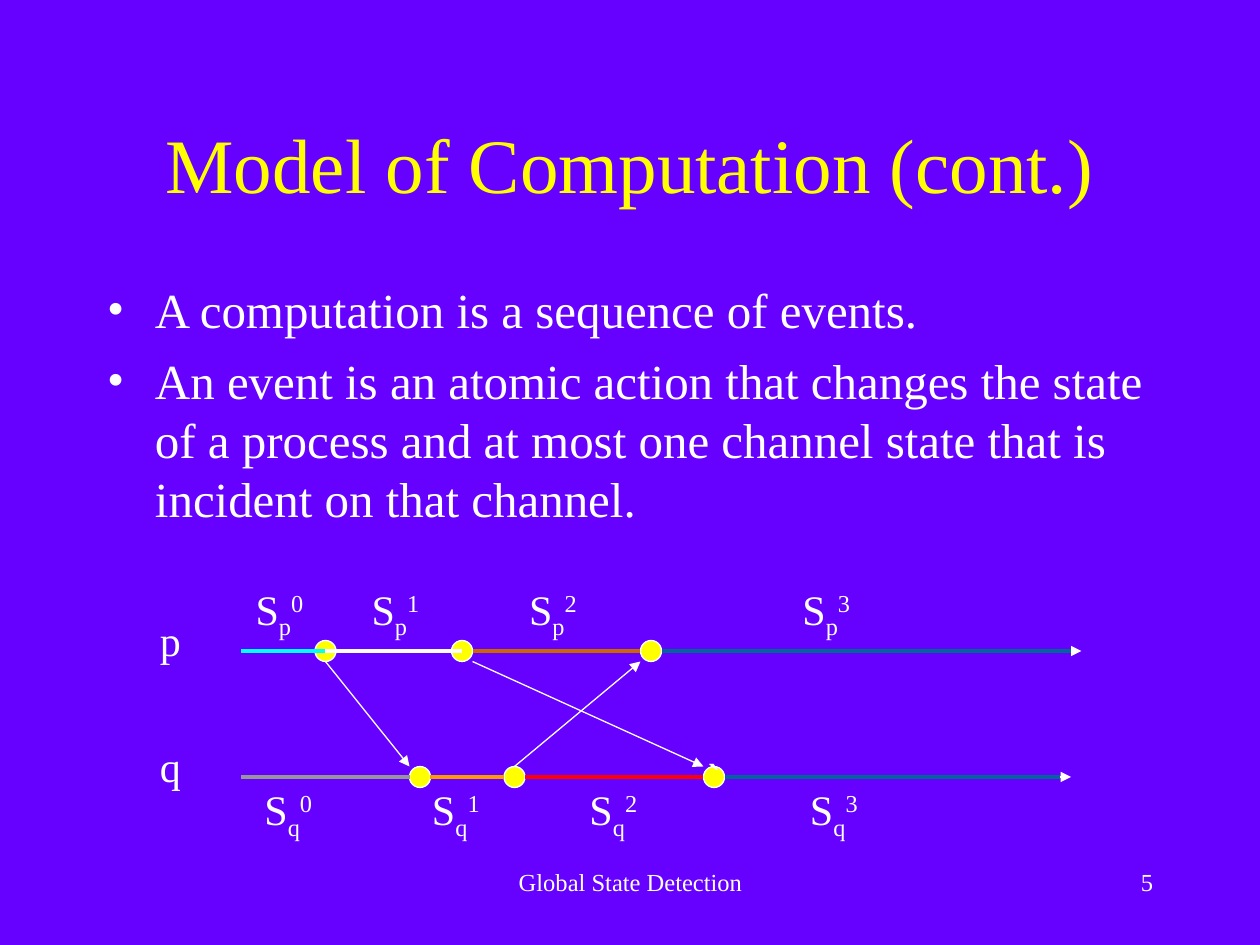
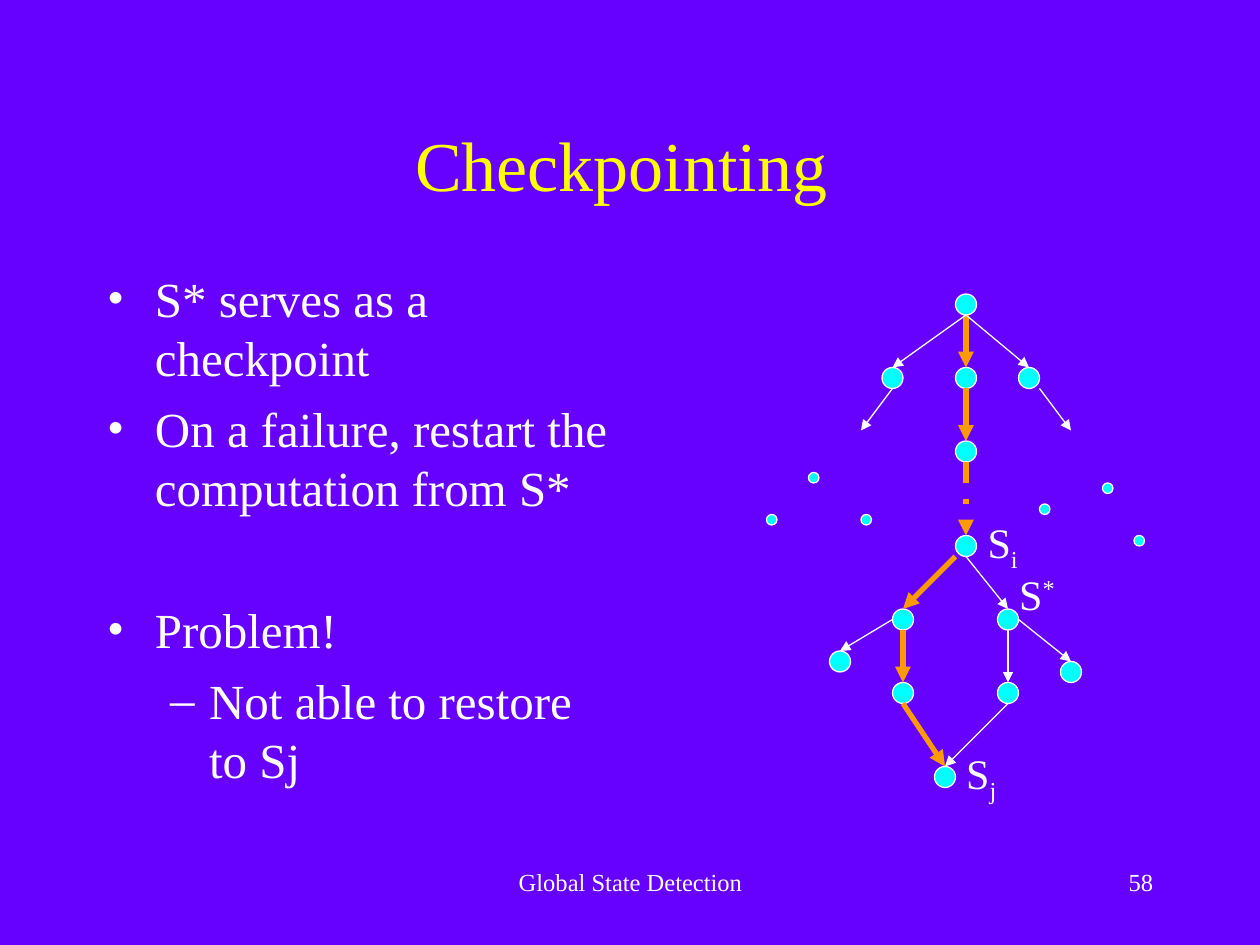
from typing import NamedTuple

from lxml.etree import SubElement
from pptx import Presentation
from pptx.dml.color import RGBColor
from pptx.enum.dml import MSO_LINE as Dash
from pptx.enum.shapes import MSO_CONNECTOR as Link, MSO_SHAPE as Form
from pptx.enum.text import MSO_ANCHOR as Anchor, MSO_AUTO_SIZE as Fit, PP_ALIGN as Align
from pptx.oxml.ns import qn
from pptx.slide import Slide
from pptx.util import Inches, Length, Pt

FONT = "Times New Roman"
BACK, TITLE, WHITE = "6600FF", "FFFF00", "FFFFFF"
CYAN, ORANGE, TEAL = "00FFFF", "FF9900", "006699"
LEFT, CENTER, RIGHT = Align.LEFT, Align.CENTER, Align.RIGHT


class Item(NamedTuple):
    text: str
    level: int = 0
    gap: float = 7


class Edge(NamedTuple):
    """A straight line; the ends are in twelfths of an inch."""
    x1: float
    y1: float
    x2: float
    y2: float
    color: str = WHITE
    width: float = 0.75
    arrow: bool = True
    dash: bool = False


class Node(NamedTuple):
    """A round mark; centre and radius are in twelfths of an inch."""
    x: float
    y: float
    color: str = CYAN
    radius: float = 1
    text: str = ""


class Label(NamedTuple):
    """A letter with an index below and above; the corner is in inches."""
    x: float
    y: float
    base: str
    sub: str = ""
    sup: str = ""
    width: float = 0.58
    height: float = 0.56


def rgb(color: str) -> RGBColor:
    return RGBColor.from_string(color)


def grid(count: float) -> Length:
    """Turn twelfths of an inch into a length."""
    return Inches(count / 12)


def style(para, size: float, color: str = WHITE) -> None:
    for run in para.runs:
        run.font.name, run.font.size = FONT, Pt(size)
        run.font.color.rgb = rgb(color)


def place(shape, x: float, y: float, width: float, height: float) -> None:
    shape.left, shape.top = Inches(x), Inches(y)
    shape.width, shape.height = Inches(width), Inches(height)


def add_text(slide: Slide, x: float, y: float, width: float, height: float,
             text: str, size: float, align: Align) -> None:
    box = slide.shapes.add_textbox(Inches(x), Inches(y), Inches(width), Inches(height))
    box.text_frame.word_wrap = True
    box.text_frame.text = text
    para = box.text_frame.paragraphs[0]
    para.alignment = align
    style(para, size)


def add_label(slide: Slide, label: Label) -> None:
    box = slide.shapes.add_textbox(Inches(label.x), Inches(label.y),
                                   Inches(label.width), Inches(label.height))
    frame = box.text_frame
    frame.word_wrap, frame.auto_size = False, Fit.SHAPE_TO_FIT_TEXT
    para = frame.paragraphs[0]
    for text, shift in (label.base, 0), (label.sub, -25000), (label.sup, 30000):
        if text:
            run = para.add_run()
            run.text = text
            if shift:
                run._r.get_or_add_rPr().set("baseline", str(shift))
    style(para, 24)


def add_edge(slide: Slide, edge: Edge) -> None:
    line = slide.shapes.add_connector(Link.STRAIGHT, grid(edge.x1), grid(edge.y1),
                                      grid(edge.x2), grid(edge.y2))
    line.line.color.rgb = rgb(edge.color)
    line.line.width = Pt(edge.width)
    if edge.dash:
        line.line.dash_style = Dash.DASH_DOT
    if edge.arrow:
        SubElement(line.line._get_or_add_ln(), qn("a:tailEnd"), type="triangle")
    SubElement(line._element.spPr, qn("a:effectLst"))


def add_node(slide: Slide, node: Node) -> None:
    size = grid(2 * node.radius)
    dot = slide.shapes.add_shape(Form.FLOWCHART_CONNECTOR, grid(node.x - node.radius),
                                 grid(node.y - node.radius), size, size)
    dot.shadow.inherit = False
    dot.fill.solid()
    dot.fill.fore_color.rgb = rgb(node.color)
    dot.line.color.rgb = rgb(WHITE)
    dot.line.width = Pt(0.75)
    if node.text:
        frame = dot.text_frame
        frame.word_wrap, frame.vertical_anchor = False, Anchor.MIDDLE
        frame.text = node.text
        frame.paragraphs[0].alignment = CENTER
        style(frame.paragraphs[0], 24)


def set_bullet(para, level: int) -> None:
    left, hang, mark = ((0.38, 0.38, "•"), (0.81, 0.31, "–"))[level]
    props = para._p.get_or_add_pPr()
    props.set("marL", str(Inches(left)))
    props.set("indent", str(-Inches(hang)))
    tint = SubElement(props, qn("a:buClr"))
    SubElement(tint, qn("a:srgbClr"), val=WHITE)
    SubElement(props, qn("a:buFont"), typeface=FONT)
    SubElement(props, qn("a:buChar"), char=mark)


def fill_body(body, items: list[Item]) -> None:
    frame = body.text_frame
    frame.auto_size = Fit.NONE
    frame.text = "\n".join(item.text for item in items)
    for spot, (para, item) in enumerate(zip(frame.paragraphs, items)):
        para.level = item.level
        set_bullet(para, item.level)
        para.space_before = Pt(item.gap if spot else 0)
        style(para, 28)


def add_slide(prs, title: str, size: float, number: int, items: list[Item],
              top: float, width: float, height: float) -> Slide:
    """Add a slide with its title, list and footer."""
    slide = prs.slides.add_slide(prs.slide_layouts[1])
    head, body = slide.placeholders
    place(head, 0.75, 0.67, 8.5, 1.25)
    head.text_frame.text = title
    head.text_frame.auto_size = Fit.NONE
    head.text_frame.vertical_anchor = Anchor.MIDDLE
    head.text_frame.paragraphs[0].alignment = CENTER
    style(head.text_frame.paragraphs[0], size, TITLE)
    place(body, 0.75, top, width, height)
    fill_body(body, items)
    add_text(slide, 3.42, 6.83, 3.17, 0.5, "Global State Detection", 14, CENTER)
    add_text(slide, 7.17, 6.83, 2.08, 0.5, str(number), 14, RIGHT)
    return slide


def draw(slide: Slide, parts: list) -> None:
    tools = {Edge: add_edge, Node: add_node, Label: add_label}
    for part in parts:
        tools[type(part)](slide, part)


def model(prs) -> None:
    slide = add_slide(prs, "Model of Computation (cont.)", 44, 5, [
        Item("A computation is a sequence of events."),
        Item("An event is an atomic action that changes the state of a process "
             "and at most one channel state that is incident on that channel."),
    ], 2.17, 8.58, 5)
    p_row, q_row, start = 62, 74, 23
    axes = [Edge(start, p_row, 103, p_row), Edge(start, q_row, 102, q_row)]
    names = [Label(1.17, y, name, width=0.36, height=0.5)
             for name, y in (("p", 4.83), ("q", 5.83))]
    events = [Node(x, p_row, TITLE) for x in (31, 44, 62)]
    events += [Node(x, q_row, TITLE, text=mark)
               for x, mark in ((40, ""), (49, ""), (68, "`"))]
    spans = {
        p_row: [(start, 31, CYAN), (31, 44, WHITE), (45, 61, "CC6600"), (63, 102, TEAL)],
        q_row: [(start, 39, "969696"), (41, 48, ORANGE), (50, 67, "FF0000"), (69, 101, TEAL)],
    }
    states = [Edge(x1, row, x2, row, color, 2.25, arrow=False)
              for row, parts in spans.items() for x1, x2, color in parts]
    sends = [Edge(31, p_row + 1, 39, q_row - 1), Edge(45, p_row + 1, 67, q_row - 1),
             Edge(49, q_row - 1, 61, p_row + 1)]
    marks = [Label(x, y, "S", name, str(index))
             for name, y, spots in (("p", 4.58, (1.93, 2.85, 4.1, 6.27)),
                                    ("q", 6.17, (2, 3.33, 4.58, 6.33)))
             for index, x in enumerate(spots)]
    draw(slide, axes + names + events + states + sends + marks)


def checkpoint(prs) -> None:
    slide = add_slide(prs, "Checkpointing ", 40, 58, [
        Item("S* serves as a checkpoint"),
        Item("On a failure, restart the computation from S*"),
        Item("Problem!", gap=47.6),
        Item("Not able to restore to Sj", level=1),
    ], 2.08, 4.25, 5.08)
    nodes = [Node(x, y) for x, y in (
        (92, 29), (85, 36), (92, 36), (98, 36), (92, 43), (92, 52), (86, 59),
        (96, 59), (80, 63), (86, 66), (96, 66), (102, 64), (90, 74))]
    dots = [Node(x, y, radius=0.5) for x, y in (
        (77.5, 45.5), (73.5, 49.5), (82.5, 49.5),
        (99.5, 48.5), (105.5, 46.5), (108.5, 51.5))]
    chain = [Edge(*ends, ORANGE, 3) for ends in (
        (92, 30, 92, 35), (92, 37, 92, 42), (91, 53, 86, 58),
        (86, 60, 86, 65), (86, 67, 90, 73))]
    chain.append(Edge(92, 44, 92, 51, ORANGE, 3, dash=True))
    others = [Edge(*ends) for ends in (
        (92, 30, 85, 35), (92, 30, 98, 35), (99, 37, 102, 41), (85, 37, 82, 41),
        (92, 53, 96, 58), (96, 60, 96, 65), (96, 67, 90, 73),
        (85, 59, 80, 62), (97, 59, 102, 63))]
    marks = [Label(7.74, 4.05, "S", "i", width=0.44),
             Label(7.57, 5.88, "S", "j", width=0.44),
             Label(7.99, 4.46, "S", sup="*", width=0.48, height=0.5)]
    draw(slide, nodes + dots + chain + others + marks)


def main() -> None:
    prs = Presentation()
    prs.slide_width, prs.slide_height = Inches(10), Inches(7.5)
    back = prs.slide_master.background.fill
    back.solid()
    back.fore_color.rgb = rgb(BACK)
    model(prs)
    checkpoint(prs)
    prs.save("out.pptx")


if __name__ == "__main__":
    main()
